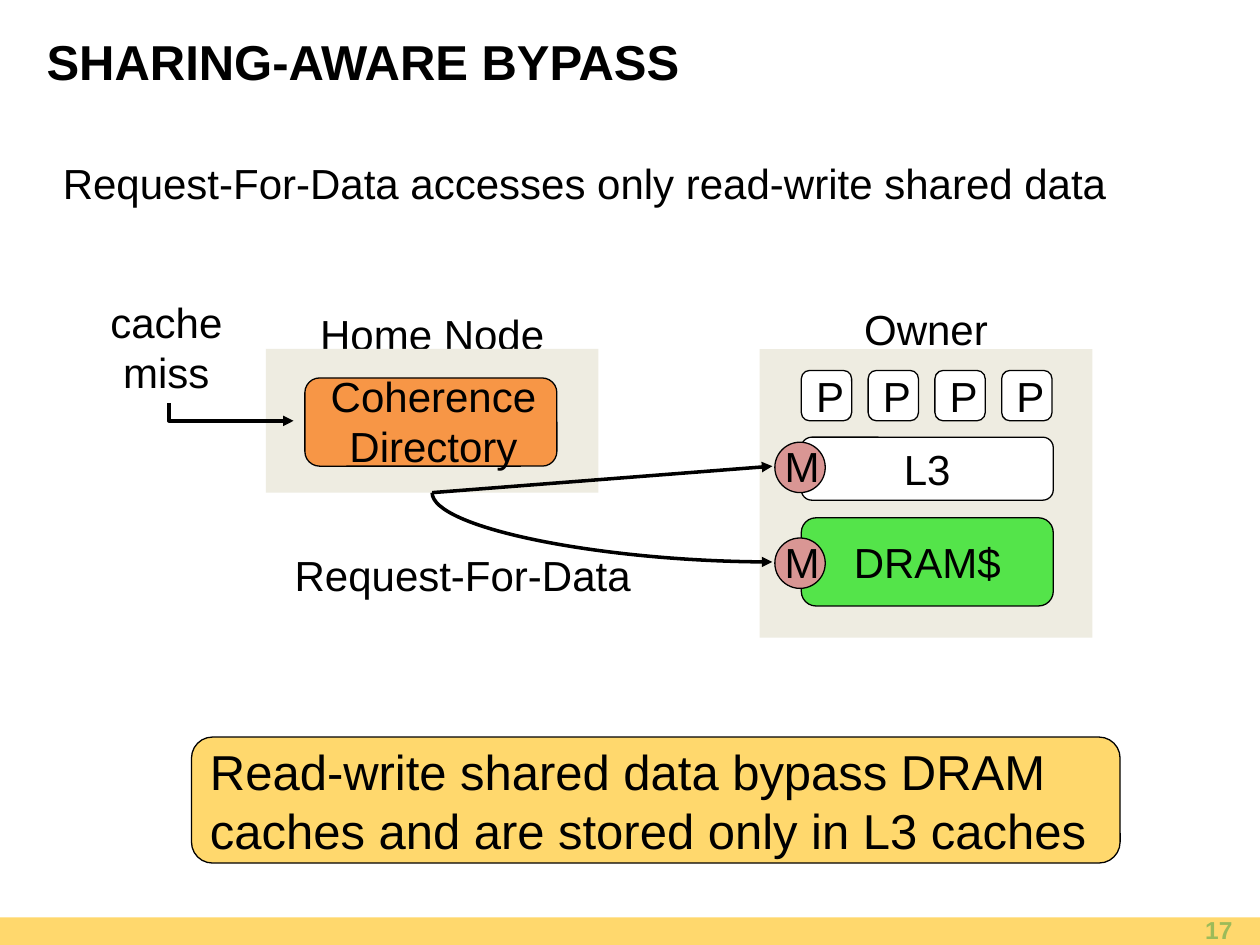
from lxml import etree
from pptx import Presentation, util as u
from pptx.dml.color import RGBColor
from pptx.enum import shapes, text
from pptx.oxml.ns import qn

COLORS = {"ink": "000000", "gold": "FFD86D", "node": "EEECE1", "white": "FFFFFF",
          "directory": "F79646", "dram": "54E44A", "modified": "D99694", "number": "9BBB59"}
LEFT, CENTER, RIGHT = text.PP_ALIGN.LEFT, text.PP_ALIGN.CENTER, text.PP_ALIGN.RIGHT
TOP, MIDDLE = text.MSO_ANCHOR.TOP, text.MSO_ANCHOR.MIDDLE
RECT, ROUND, OVAL = (shapes.MSO_SHAPE.RECTANGLE, shapes.MSO_SHAPE.ROUNDED_RECTANGLE,
                     shapes.MSO_SHAPE.OVAL)


def rgb(name):
    """Return the palette colour called name."""
    return RGBColor.from_string(COLORS[name])


def write(sp, words, size=24, align=CENTER, anchor=MIDDLE, color="ink", bold=False, wrap=True):
    """Put formatted text in a shape, one paragraph per line."""
    tf = sp.text_frame
    tf.text = words
    tf.word_wrap = wrap
    tf.vertical_anchor = anchor
    for p in tf.paragraphs:
        p.alignment = align
        for r in p.runs:
            r.font.name, r.font.size, r.font.bold = "Arial", u.Pt(size), bold
            r.font.color.rgb = rgb(color)


def add_label(s, box, words, **style):
    """Add a text box."""
    sp = s.shapes.add_textbox(*map(u.Inches, box))
    write(sp, words, **{"anchor": TOP, **style})
    return sp


def add_box(s, kind, box, fill, words="", outlined=True, **style):
    """Add a filled preset shape with optional outline and text."""
    sp = s.shapes.add_shape(kind, *map(u.Inches, box))
    sp.shadow.inherit = False
    sp.fill.solid()
    sp.fill.fore_color.rgb = rgb(fill)
    if outlined:
        sp.line.color.rgb = rgb("ink")
        sp.line.width = u.Pt(0.75)
    else:
        sp.line.fill.background()
    if words:
        write(sp, words, **style)
    return sp


def add_arrow(s, start, end):
    """Add a straight black arrow."""
    c = s.shapes.add_connector(shapes.MSO_CONNECTOR.STRAIGHT, *map(u.Inches, start + end))
    c.line.color.rgb = rgb("ink")
    c.line.width = u.Pt(2)
    etree.SubElement(c.line._get_or_add_ln(), qn("a:tailEnd"), type="triangle")
    etree.SubElement(c._element.spPr, qn("a:effectLst"))
    return c


def add_turning_arrow(s, start, end, preset):
    """Add an arrow that leaves downwards and arrives from the left."""
    c = add_arrow(s, start, end)
    (x1, y1), (x2, y2) = start, end
    w, h = y2 - y1, x2 - x1
    c.left, c.top = u.Inches((x1 + x2 - w) / 2), u.Inches((y1 + y2 - h) / 2)
    c.width, c.height = u.Inches(w), u.Inches(h)
    xfrm = c._element.spPr.find(qn("a:xfrm"))
    xfrm.set("rot", str(270 * 60000))
    xfrm.set("flipH", "1")
    c._element.spPr.find(qn("a:prstGeom")).set("prst", preset)


def add_frame(s, box):
    """Add the title and the footer bar with the slide number."""
    x, y, w, h = box
    add_box(s, RECT, (x, y + h - 0.22, w, 0.22), "gold", outlined=False)
    sp = s.shapes.title
    sp.left, sp.top, sp.width, sp.height = map(u.Inches, (x + 0.27, y + 0.22, 9.17, 0.53))
    write(sp, "SHARING-AWARE BYPASS", size=28, align=LEFT, bold=True)
    add_label(s, (x + w - 2.45, y + h - 0.25, 2.33, 0.26), "17", size=14, align=RIGHT,
              anchor=MIDDLE, color="number", bold=True)


def add_home_node(s, box):
    """Add the home node with its directory and return its panel."""
    x, y, w, h = box
    add_label(s, (x, y - 0.37, w, 0.5), "Home Node")
    panel = add_box(s, RECT, box, "node", outlined=False)
    add_box(s, ROUND, (x + 0.31, y + 0.23, 2, 0.7), "directory")
    add_label(s, (x + 0.22, y + 0.12, 2.22, 0.91), "Coherence\nDirectory")
    return panel


def add_cache_miss(s, box):
    """Add the cache miss label and its arrow to the home node."""
    x, y, w, h = box
    add_label(s, box, "cache\nmiss", wrap=False)
    add_turning_arrow(s, (x + 0.57, y + 0.9), (x + 1.56, y + 1.04), "bentConnector2")


def add_state(s, box):
    """Add a modified-state marker and return its label."""
    x, y, w, h = box
    add_box(s, OVAL, (x + 0.02, y + 0.06, 0.4, 0.4), "modified")
    return add_label(s, box, "M", align=LEFT)


def add_owner(s, box):
    """Add the owner node and return the label of its L3 state."""
    x, y, w, h = box
    add_box(s, RECT, box, "node", outlined=False)
    for i in range(4):
        add_box(s, ROUND, (x + 0.33 + 0.53 * i, y + 0.17, 0.4, 0.4), "white", "P")
    add_box(s, ROUND, (x + 0.33, y + 0.7, 2, 0.5), "white", "L3")
    add_box(s, ROUND, (x + 0.33, y + 1.34, 2, 0.7), "dram", "DRAM$")
    add_label(s, (x, y - 0.41, w, 0.5), "Owner")
    add_state(s, (x + 0.1, y + 1.44, 0.44, 0.5))
    return add_state(s, (x + 0.1, y + 0.68, 0.44, 0.5))


def add_requests(s, box, home, l3_state):
    """Add the request arrows from the home node to the owner."""
    x, y, w, h = box
    add_turning_arrow(s, (x, y), (x + w, y + h), "curvedConnector2")
    add_label(s, (x - 1.19, y + 0.4, 2.9, 0.5), "Request-For-Data", align=LEFT, wrap=False)
    c = add_arrow(s, (x, y), (x + w, y - 0.21))
    c.begin_connect(home, 2)
    c.end_connect(l3_state, 1)


def main():
    """Build and save the slide."""
    prs = Presentation()
    prs.slide_width, prs.slide_height = u.Inches(10), u.Inches(7.5)
    s = prs.slides.add_slide(prs.slide_layouts[5])
    add_frame(s, (0, 0, 10, 7.5))
    add_label(s, (0.4, 1.2, 9.6, 0.5), "Request-For-Data accesses only read-write shared data",
              align=LEFT)
    home = add_home_node(s, (2.11, 2.77, 2.64, 1.14))
    add_cache_miss(s, (0.77, 2.3, 1.1, 0.91))
    l3_state = add_owner(s, (6.03, 2.77, 2.64, 2.29))
    add_requests(s, (3.43, 3.91, 2.7, 0.55), home, l3_state)
    add_box(s, ROUND, (1.52, 5.85, 7.37, 1), "gold",
            "Read-write shared data bypass DRAM caches and are stored only in L3 caches",
            size=28, align=LEFT)
    prs.save("out.pptx")


if __name__ == "__main__":
    main()
